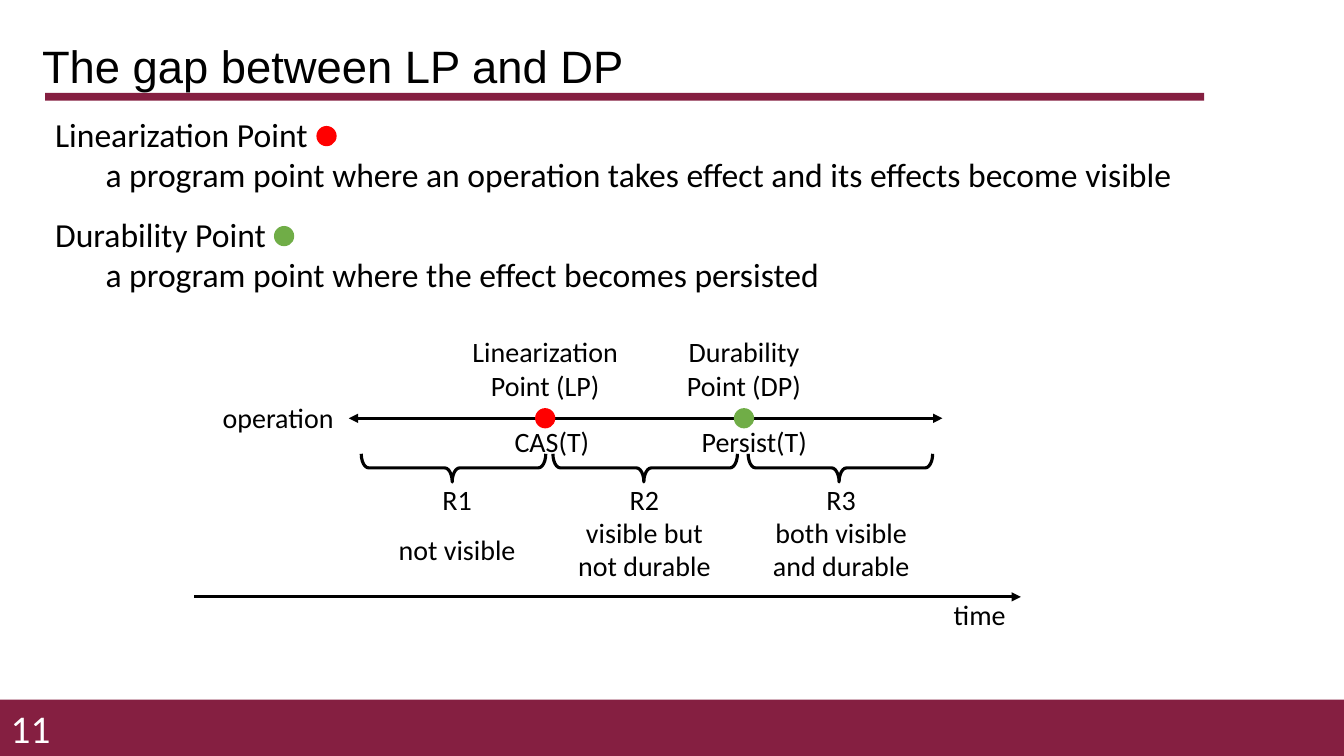
from lxml.etree import SubElement
from pptx import Presentation
from pptx.dml.color import RGBColor
from pptx.enum.shapes import MSO_CONNECTOR, MSO_SHAPE
from pptx.enum.text import MSO_ANCHOR, PP_ALIGN
from pptx.oxml.ns import qn
from pptx.util import Cm, Pt

MAROON, BLACK, WHITE = "851F41", "000000", "FFFFFF"
RED, GREEN = "FF0000", "70AD47"
DOT = 0.51
LINE_WIDTH = Pt(2.25)


def color(value):
    return RGBColor.from_string(value)


def add_text(slide, left, top, width, height, lines, size=20, font="Calibri",
             ink=BLACK, align=PP_ALIGN.CENTER, anchor=MSO_ANCHOR.TOP):
    frame = slide.shapes.add_textbox(Cm(left), Cm(top), Cm(width), Cm(height)).text_frame
    frame.word_wrap = True
    frame.vertical_anchor = anchor
    for index, line in enumerate(lines):
        paragraph = frame.paragraphs[0] if index == 0 else frame.add_paragraph()
        paragraph.text = line
        paragraph.alignment = align
        paragraph.font.size = Pt(size)
        paragraph.font.name = font
        paragraph.font.color.rgb = color(ink)
    return frame


def add_label(slide, center, top, width, height, lines, **style):
    """Text box centred on a horizontal position."""
    return add_text(slide, center - width / 2, top, width, height, lines, **style)


def add_filled(slide, preset, left, top, width, height, fill):
    shape = slide.shapes.add_shape(preset, Cm(left), Cm(top), Cm(width), Cm(height))
    shape.shadow.inherit = False
    shape.fill.solid()
    shape.fill.fore_color.rgb = color(fill)
    shape.line.fill.background()


def add_dot(slide, center_x, center_y, fill):
    add_filled(slide, MSO_SHAPE.OVAL, center_x - DOT / 2, center_y - DOT / 2, DOT, DOT, fill)


def add_arrow(slide, start, end, y, ends):
    arrow = slide.shapes.add_connector(MSO_CONNECTOR.STRAIGHT, Cm(start), Cm(y), Cm(end), Cm(y))
    arrow.line.color.rgb = color(BLACK)
    arrow.line.width = LINE_WIDTH
    outline = arrow.line._get_or_add_ln()
    for end_tag in ends:
        SubElement(outline, qn(end_tag), type="triangle")
    SubElement(arrow._element.spPr, qn("a:effectLst"))


def add_brace(slide, center_x, center_y, span, depth):
    """Horizontal brace that points down."""
    brace = slide.shapes.add_shape(MSO_SHAPE.LEFT_BRACE, Cm(center_x - depth / 2),
                                   Cm(center_y - span / 2), Cm(depth), Cm(span))
    brace.rotation = 270
    brace.adjustments[0] = 0.264
    brace.adjustments[1] = 0.493
    brace.shadow.inherit = False
    brace.fill.background()
    brace.line.color.rgb = color(BLACK)
    brace.line.width = LINE_WIDTH


def add_header(slide, left, top, width, title):
    add_filled(slide, MSO_SHAPE.RECTANGLE, left + 0.33, top + 1.32, width, 0.2, MAROON)
    frame = add_text(slide, left, top, width, 1.42, [title], 32.4, "Arial",
                     align=PP_ALIGN.LEFT, anchor=MSO_ANCHOR.MIDDLE)
    frame.paragraphs[0].line_spacing = 0.9


def add_footer(slide, top, width, height, number):
    add_filled(slide, MSO_SHAPE.RECTANGLE, 0, top, width, height, MAROON)
    frame = add_text(slide, 0, top + 0.2, 1.52, 1.02, [number], 28, ink=WHITE,
                     align=PP_ALIGN.RIGHT, anchor=MSO_ANCHOR.MIDDLE)
    frame.margin_left = 0


def add_definition(slide, left, top, width, term, meaning, dot_offset, dot_fill):
    frame = add_text(slide, left, top, width, 2.31, [term, meaning], 24, align=PP_ALIGN.LEFT)
    frame.paragraphs[1]._p.get_or_add_pPr().set("marL", str(Cm(1.27)))
    add_dot(slide, left + dot_offset, top + 0.69, dot_fill)


def add_timeline(slide, left, top, width):
    axis_y, time_y = top + 2.23, top + 6.73
    add_arrow(slide, left, left + width, time_y, ["a:tailEnd"])
    add_text(slide, left + width - 2.08, time_y - 0.1, 2.08, 1.12, ["time"])
    add_arrow(slide, left + 3.89, left + 18.85, axis_y, ["a:headEnd", "a:tailEnd"])
    add_text(slide, left + 0.41, axis_y - 0.56, 3.4, 1.12, ["operation"])

    points = [(8.84, "Linearization Point (LP)", "CAS(T)", 0.17, RED),
              (13.85, "Durability Point (DP)", "Persist(T)", 0.26, GREEN)]
    for offset, name, call, call_shift, fill in points:
        center = left + offset
        add_dot(slide, center, axis_y, fill)
        add_label(slide, center, top, 4.29, 1.96, [name])
        add_label(slide, center + call_shift, axis_y + 0.03, 4.29, 1.12, [call])

    regions = [(6.53, 6.62, ["not visible"]),
               (11.36, 11.34, ["visible but", "not durable"]),
               (16.28, 16.3, ["both visible", "and durable"])]
    for number, (brace_offset, label_offset, state) in enumerate(regions, 1):
        add_brace(slide, left + brace_offset, axis_y + 1.25, 4.65, 0.71)
        center = left + label_offset
        add_label(slide, center, axis_y + 1.5, 3.63, 1.12, [f"R{number}"])
        add_label(slide, center, axis_y + 2.31, 4.34, 1.96, state, anchor=MSO_ANCHOR.MIDDLE)


def main():
    deck = Presentation()
    deck.slide_width, deck.slide_height = Cm(33.87), Cm(19.05)
    slide = deck.slides.add_slide(deck.slide_layouts[6])
    add_footer(slide, 17.63, 33.87, 1.42, "11")
    add_header(slide, 0.81, 1.02, 29.21, "The gap between LP and DP")
    add_definition(slide, 1.14, 2.74, 31.01, "Linearization Point",
                   "a program point where an operation takes effect and its effects become visible",
                   7.09, RED)
    add_definition(slide, 1.14, 5.26, 31.01, "Durability Point",
                   "a program point where the effect becomes persisted", 6.02, GREEN)
    add_timeline(slide, 4.9, 8.31, 20.83)
    deck.save("out.pptx")


if __name__ == "__main__":
    main()
